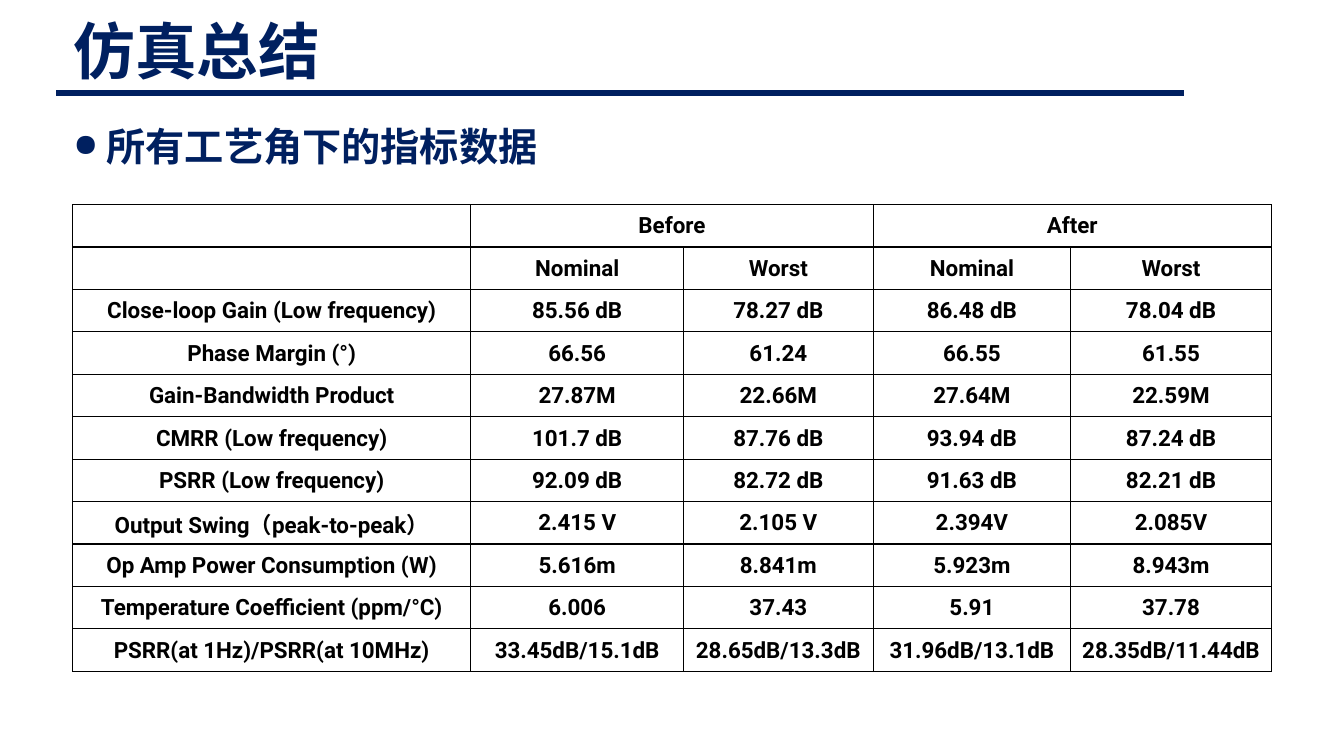
from lxml.etree import SubElement
from pptx import Presentation
from pptx.dml.color import RGBColor
from pptx.enum.shapes import MSO_CONNECTOR
from pptx.enum.text import MSO_ANCHOR, MSO_AUTO_SIZE, PP_ALIGN
from pptx.oxml import parse_xml
from pptx.oxml.ns import nsdecls, qn
from pptx.util import Inches, Pt

TITLE = "仿真总结"
SUBTITLE = "所有工艺角下的指标数据"
ROWS = [
    ("", "Before", "", "After", ""),
    ("", "Nominal", "Worst", "Nominal", "Worst"),
    ("Close-loop Gain (Low frequency)", "85.56 dB", "78.27 dB", "86.48 dB", "78.04 dB"),
    ("Phase Margin (°)", "66.56", "61.24", "66.55", "61.55"),
    ("Gain-Bandwidth Product", "27.87M", "22.66M", "27.64M", "22.59M"),
    ("CMRR (Low frequency)", "101.7 dB", "87.76 dB", "93.94 dB", "87.24 dB"),
    ("PSRR (Low frequency)", "92.09 dB", "82.72 dB", "91.63 dB", "82.21 dB"),
    ("Output Swing（peak-to-peak）", "2.415 V", "2.105 V", "2.394V", "2.085V"),
    ("Op Amp Power Consumption (W)", "5.616m", "8.841m", "5.923m", "8.943m"),
    ("Temperature Coefficient (ppm/°C)", "6.006", "37.43", "5.91", "37.78"),
    ("PSRR(at 1Hz)/PSRR(at 10MHz)", "33.45dB/15.1dB", "28.65dB/13.3dB",
     "31.96dB/13.1dB", "28.35dB/11.44dB"),
]
COLUMN_WIDTHS = [3.95, 2.11, 1.88, 1.96, 1.99]
MERGED_HEADER_COLUMNS = [1, 3]
NAVY, BLACK = "002060", "000000"
LATIN, CHINESE = "Roboto", "Noto Sans CJK SC"


def color(value):
    return RGBColor.from_string(value)


def format_text(para, size, ink, font=LATIN):
    for span in para.runs:
        span.font.size = Pt(size)
        span.font.bold = True
        span.font.name = font
        span.font.color.rgb = color(ink)
        SubElement(span.font._element, qn("a:ea"), typeface=CHINESE)


def add_bullet(para, indent):
    properties = para._p.get_or_add_pPr()
    properties.set("marL", str(Inches(indent)))
    properties.set("indent", str(-Inches(indent)))
    SubElement(properties, qn("a:buSzPct"), val="80000")
    SubElement(properties, qn("a:buChar"), char="●")


def add_borders(cell, ink):
    properties = cell._tc.get_or_add_tcPr()
    for position, side in enumerate("LRTB"):
        properties.insert(position, parse_xml(
            f'<a:ln{side} {nsdecls("a")} w="{Pt(1)}"><a:solidFill>'
            f'<a:srgbClr val="{ink}"/></a:solidFill></a:ln{side}>'))


def add_heading(page):
    title = page.shapes.title
    title.left, title.top = Inches(0.63), Inches(0.21)
    title.width, title.height = Inches(11.11), Inches(0.66)
    frame = title.text_frame
    frame.text = TITLE
    frame.auto_size = MSO_AUTO_SIZE.NONE
    frame.vertical_anchor = MSO_ANCHOR.MIDDLE
    para = frame.paragraphs[0]
    para.alignment = PP_ALIGN.LEFT
    para.line_spacing = 0.9
    format_text(para, 44, NAVY, CHINESE)

    rule = page.shapes.add_connector(
        MSO_CONNECTOR.STRAIGHT, Inches(0.56), Inches(0.92), Inches(11.74), Inches(0.92))
    rule.line.color.rgb = color(NAVY)
    rule.line.width = Pt(4)
    SubElement(rule._element.spPr, qn("a:effectLst"))


def add_subtitle(page):
    box = page.shapes.add_textbox(Inches(0.63), Inches(1.22), Inches(11.5), Inches(0.6))
    box.text_frame.word_wrap = True
    box.text_frame.text = SUBTITLE
    para = box.text_frame.paragraphs[0]
    para.line_spacing = 0.9
    para.space_before = Pt(10)
    add_bullet(para, 0.33)
    format_text(para, 28, NAVY)


def add_results(page):
    table = page.shapes.add_table(
        len(ROWS), len(COLUMN_WIDTHS), Inches(0.72), Inches(2.03),
        Inches(sum(COLUMN_WIDTHS)), Inches(4.63)).table
    table.first_row = False
    table.horz_banding = False
    for column, width in zip(table.columns, COLUMN_WIDTHS):
        column.width = Inches(width)
    for start in MERGED_HEADER_COLUMNS:
        table.cell(0, start).merge(table.cell(0, start + 1))
    for row, values in zip(table.rows, ROWS):
        for cell, value in zip(row.cells, values):
            cell.text = value
            cell.vertical_anchor = MSO_ANCHOR.MIDDLE
            cell.margin_left = cell.margin_right = cell.margin_top = Inches(0.01)
            cell.margin_bottom = 0
            cell.fill.background()
            add_borders(cell, BLACK)
            para = cell.text_frame.paragraphs[0]
            para.alignment = PP_ALIGN.CENTER
            format_text(para, 16, BLACK)


def main():
    deck = Presentation()
    deck.slide_width, deck.slide_height = Inches(13.33), Inches(7.5)
    page = deck.slides.add_slide(deck.slide_layouts[5])
    add_heading(page)
    add_subtitle(page)
    add_results(page)
    deck.save("out.pptx")


if __name__ == "__main__":
    main()
